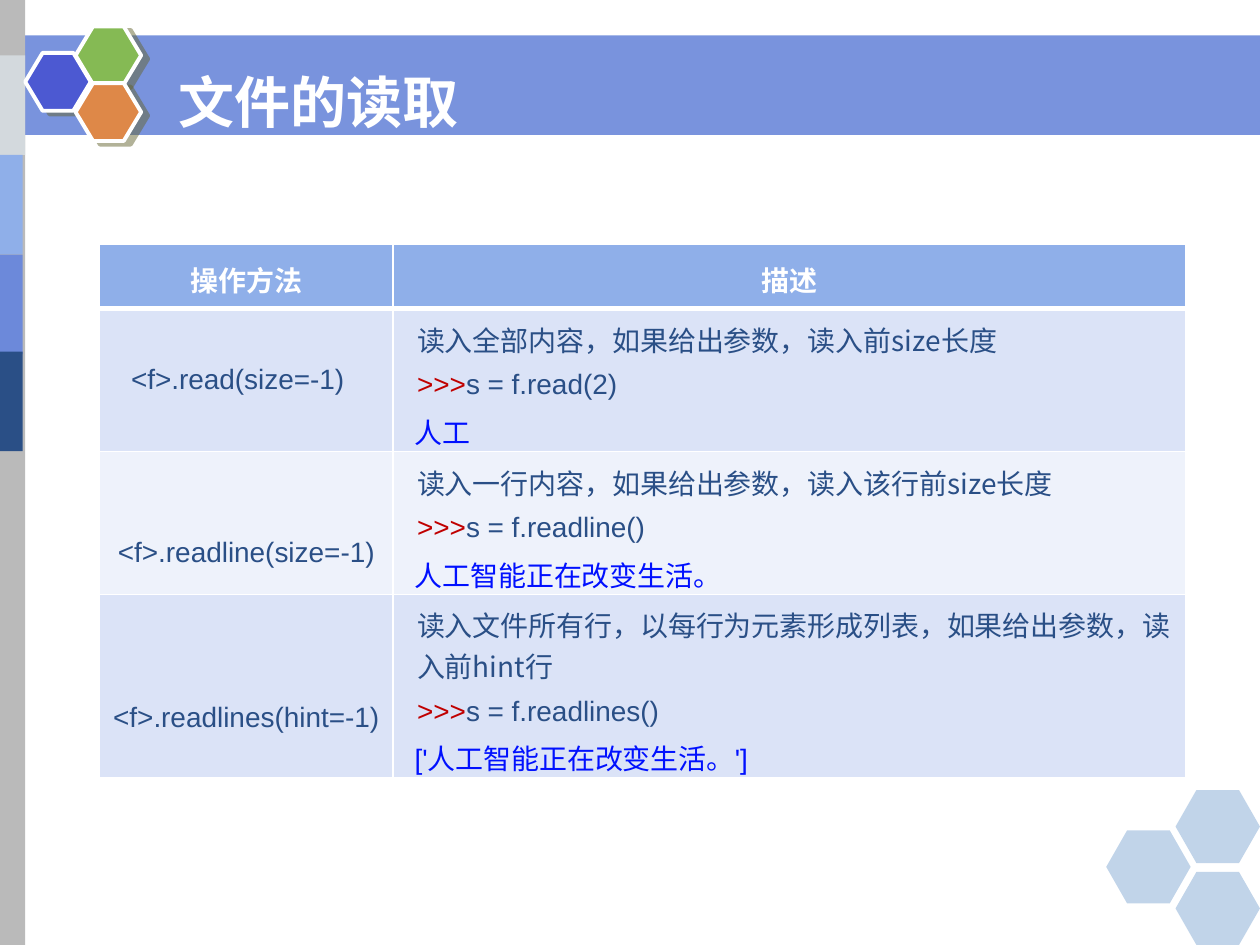
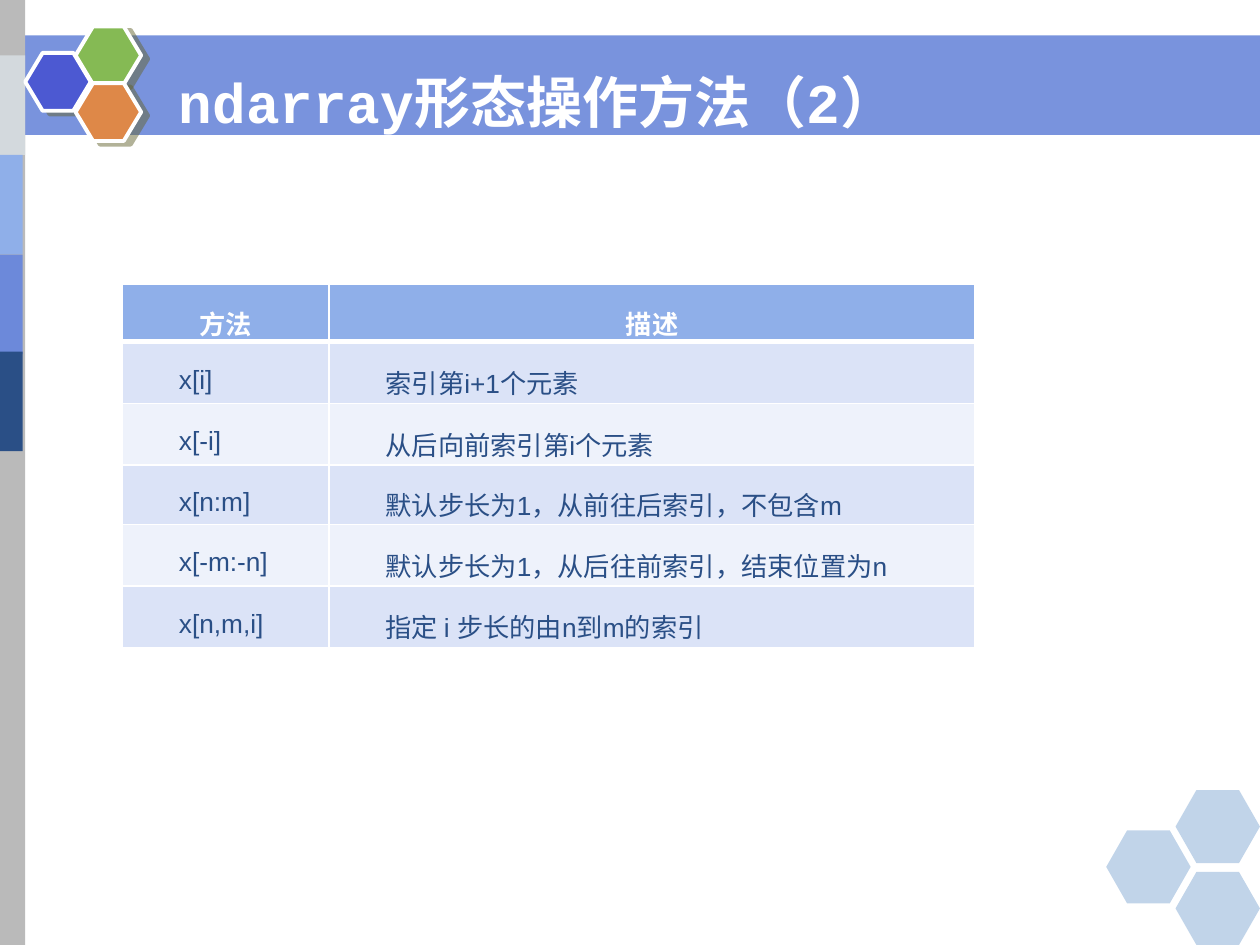
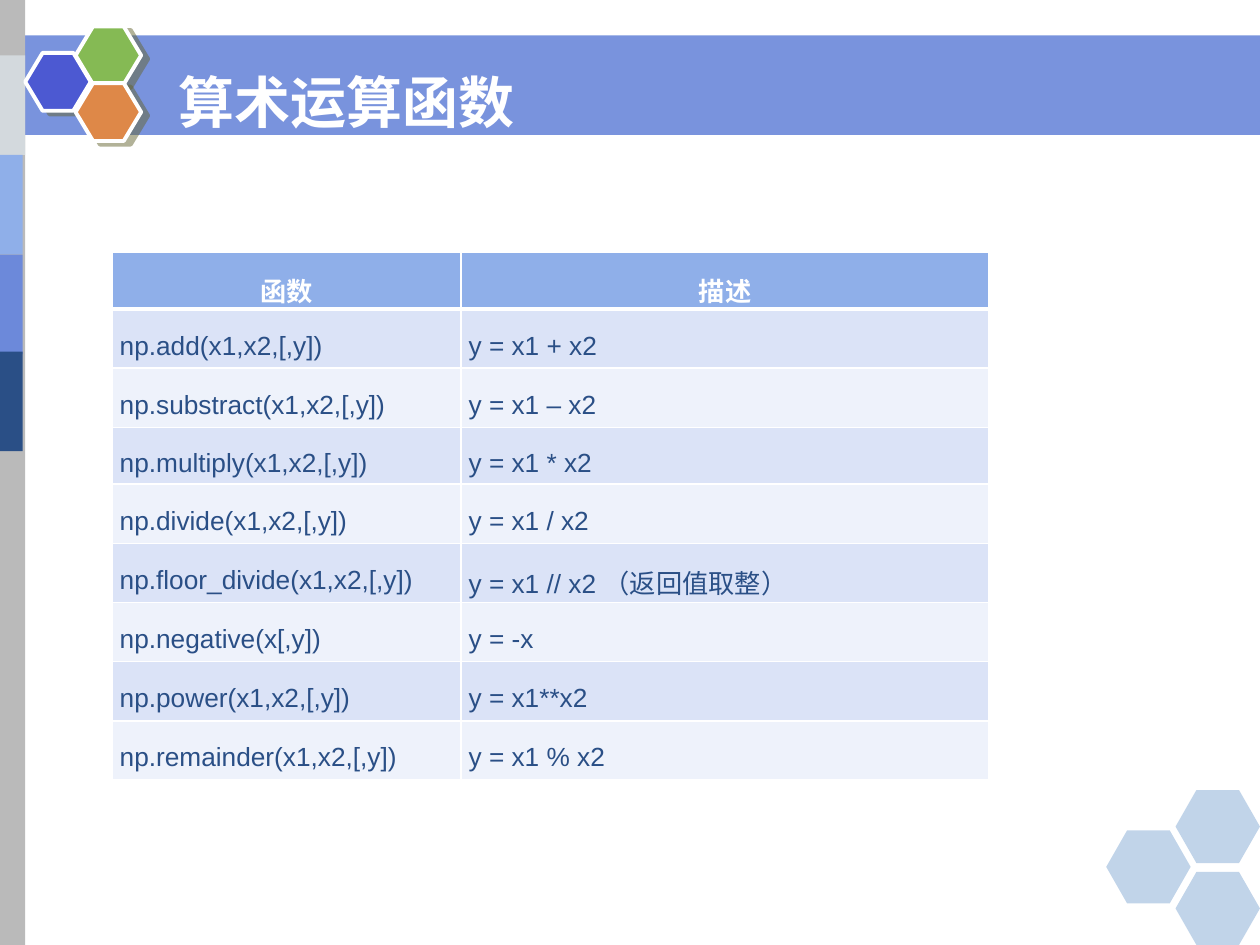
"""Three slides on reading files, ndarray indexing and arithmetic functions."""
from lxml import etree
from pptx import Presentation
from pptx import util as u
from pptx.dml.color import RGBColor
from pptx.enum import shapes, text
from pptx.oxml import ns

WHITE, NAVY, SKY, BLUE = "FFFFFF", "2A4F86", "8FAFE9", "6C89DA"
BANDS = "DBE3F7", "EEF2FB"
PROMPT, OUTPUT = "C00000", "0010FF"
SANS, CODE, CJK = "Arial", "Courier New", "Noto Sans CJK SC"
LEFT, CENTER, JUSTIFY = text.PP_ALIGN.LEFT, text.PP_ALIGN.CENTER, text.PP_ALIGN.JUSTIFY


def rgb(color):
    return RGBColor.from_string(color)


def child(parent, tag, **attributes):
    element = etree.SubElement(parent, ns.qn(tag))
    for key, value in attributes.items():
        element.set(key, str(value))
    return element


def write(paragraph, content, size=16, color=NAVY, font=SANS, bold=False,
          align=LEFT, indent=0, before=0, spacing=1.0):
    run = paragraph.add_run()
    run.text = content
    run.font.size, run.font.bold, run.font.name = u.Pt(size), bold, font
    run.font.color.rgb = rgb(color)
    child(run.font._element, "a:ea", typeface=CJK)
    paragraph.alignment = align
    paragraph.space_before, paragraph.line_spacing = u.Pt(before), spacing
    properties = paragraph._p.get_or_add_pPr()
    properties.set("marL", str(u.Inches(indent)))
    properties.set("indent", "0")


def set_margins(target, left, top, right, bottom):
    target.margin_left, target.margin_top = u.Inches(left), u.Inches(top)
    target.margin_right, target.margin_bottom = u.Inches(right), u.Inches(bottom)
    target.vertical_anchor = text.MSO_ANCHOR.MIDDLE


class Deck:
    """Hold the shared style and the current slide."""

    def __init__(self):
        self.prs = Presentation()
        self.prs.slide_width, self.prs.slide_height = u.Inches(10), u.Inches(7.5)
        self.layout = self.prs.slide_layouts[5]
        self.slide = None

    def new_slide(self, title):
        first = self.slide is None
        self.slide = self.prs.slides.add_slide(self.layout)
        if first:
            self.decorate_layout()
        self.title(title)

    def title(self, content):
        heading = self.slide.shapes.title
        heading.left, heading.top = u.Inches(1.31), u.Inches(0.45)
        heading.width, heading.height = u.Inches(8.06), u.Inches(0.7)
        frame = heading.text_frame
        frame.word_wrap, frame.auto_size = True, text.MSO_AUTO_SIZE.NONE
        set_margins(frame, 0.11, 0.06, 0.11, 0.06)
        write(frame.paragraphs[0], content, size=32, color=WHITE, font=CODE,
              bold=True, align=JUSTIFY)

    def shape(self, kind, left, top, width, height, color, alpha=100):
        item = self.slide.shapes.add_shape(
            kind, u.Inches(left), u.Inches(top), u.Inches(width), u.Inches(height))
        item.shadow.inherit = False
        item.fill.solid()
        item.fill.fore_color.rgb = rgb(color)
        item.line.fill.background()
        if alpha < 100:
            tint = item._element.spPr.find(".//" + ns.qn("a:srgbClr"))
            child(tint, "a:alpha", val=alpha * 1000)
        return item

    def band(self, *place, **look):
        return self.shape(shapes.MSO_SHAPE.RECTANGLE, *place, **look)

    def hexagon(self, *place, corner, **look):
        item = self.shape(shapes.MSO_SHAPE.HEXAGON, *place, **look)
        item.adjustments[0] = corner
        return item

    def emblem_cell(self, left, top, color):
        cell = self.hexagon(left, top, 0.52, 0.46, color=color, corner=0.3)
        cell.line.color.rgb = rgb(WHITE)
        cell.line.width = u.Pt(2.25)
        effects = cell._element.spPr.find(ns.qn("a:effectLst"))
        shadow = child(effects, "a:outerShdw", blurRad=0, dist=u.Pt(4.5),
                       dir=27 * 60000, algn="ctr", rotWithShape=0)
        child(child(shadow, "a:srgbClr", val="666633"), "a:alpha", val=50000)

    def decorate_layout(self):
        for placeholder in list(self.layout.placeholders)[1:]:
            placeholder.element.getparent().remove(placeholder.element)
        self.band(0, 0.28, 10, 0.79, color=BLUE, alpha=91)
        self.band(-0.01, 0, 0.21, 7.5, color="BABABA")
        for left, top, color in ((0, 0.44, "D3D9DD"), (-0.02, 1.23, SKY),
                                 (-0.02, 2.02, BLUE), (-0.02, 2.79, NAVY)):
            self.band(left, top, 0.2, 0.79, color=color)
        for left, top, color in ((0.2, 0.42, "4C59D2"), (0.6, 0.21, "85BA54"),
                                 (0.6, 0.66, "DE8848")):
            self.emblem_cell(left, top, color)
        for left, top in ((8.78, 6.59), (9.33, 6.27), (9.33, 6.92)):
            self.hexagon(left, top, 0.67, 0.58, color="5086C2", alpha=35, corner=0.286)
        tree = self.layout.shapes.element
        for decoration in list(self.slide.shapes)[1:]:
            tree.append(decoration.element)

    def borders(self, cell, bottom):
        properties = cell._tc.get_or_add_tcPr()
        for side, width in (("L", 1), ("R", 1), ("T", 1), ("B", bottom)):
            edge = child(properties, "a:ln" + side, w=u.Pt(width))
            child(child(edge, "a:solidFill"), "a:srgbClr", val=WHITE)

    def grid(self, left, top, widths, heights):
        table = self.slide.shapes.add_table(
            len(heights), len(widths), u.Inches(left), u.Inches(top),
            u.Inches(sum(widths)), u.Inches(sum(heights))).table
        table.horz_banding = False
        for column, width in zip(table.columns, widths):
            column.width = u.Inches(width)
        for number, (row, height) in enumerate(zip(table.rows, heights)):
            row.height = u.Inches(height)
            for cell in row.cells:
                self.borders(cell, bottom=1 if number else 3)
                cell.fill.solid()
                cell.fill.fore_color.rgb = rgb(BANDS[(number - 1) % 2] if number else SKY)
                set_margins(cell, 0.06, 0, 0.06, 0)
        return table

    def lookup_table(self, left, top, widths, heights, entries, indent=0):
        table = self.grid(left, top, widths, heights)
        for number, entry in enumerate(entries):
            look = (dict(align=JUSTIFY, indent=indent) if number
                    else dict(align=CENTER, color=WHITE, bold=True))
            for cell, content in zip(table.rows[number].cells, entry):
                write(cell.text_frame.paragraphs[0], content, size=15, spacing=1.5, **look)

    def method_table(self, left, top, widths, heights, headings, methods):
        table = self.grid(left, top, widths, heights)
        for cell, heading in zip(table.rows[0].cells, headings):
            set_margins(cell, 0, 0.05, 0, 0)
            write(cell.text_frame.paragraphs[0], heading, color=WHITE, font=CJK,
                  bold=True, align=CENTER, before=4.7)
        for number, (call, look, drop, summary, example, result) in enumerate(methods, 1):
            name, description = table.rows[number].cells
            set_margins(name, 0, drop, 0, 0)
            write(name.text_frame.paragraphs[0], call, **look)
            set_margins(description, 0, 0.08, 0, 0)
            frame = description.text_frame
            write(frame.paragraphs[0], summary, font=CJK, indent=0.19, before=6)
            command = frame.add_paragraph()
            write(command, ">>>", color=PROMPT, indent=0.19, before=6)
            write(command, example, indent=0.19, before=6)
            output = frame.add_paragraph()
            for part in result:
                write(output, part, color=OUTPUT, font=CJK if part[0] > "~" else SANS,
                      indent=0.17, before=6)


def main():
    deck = Deck()

    deck.new_slide("文件的读取")
    centered = dict(align=CENTER)
    deck.method_table(
        0.79, 1.94, [2.33, 6.29], [0.51, 1.07, 1.07, 1.29], ("操作方法", "描述"),
        [("<f>.read(size=-1)", dict(align=JUSTIFY, indent=0.25), 0,
          "读入全部内容，如果给出参数，读入前size长度", "s = f.read(2)", ["人工"]),
         ("<f>.readline(size=-1)", centered, 0.48,
          "读入一行内容，如果给出参数，读入该行前size长度", "s = f.readline()",
          ["人工智能正在改变生活。"]),
         ("<f>.readlines(hint=-1)", centered, 0.51,
          "读入文件所有行，以每行为元素形成列表，如果给出参数，读入前hint行",
          "s = f.readlines()", ["['", "人工智能正在改变生活。", "']"])])

    deck.new_slide("ndarray形态操作方法（2）")
    deck.lookup_table(
        0.97, 2.26, [1.64, 5.13], [0.45, 0.49, 0.49, 0.47, 0.49, 0.49],
        [("方法", "描述"),
         ("x[i]", "索引第i+1个元素"),
         ("x[-i]", "从后向前索引第i个元素"),
         ("x[n:m]", "默认步长为1，从前往后索引，不包含m"),
         ("x[-m:-n]", "默认步长为1，从后往前索引，结束位置为n"),
         ("x[n,m,i]", "指定 i 步长的由n到m的索引")], indent=0.39)

    deck.new_slide("算术运算函数")
    deck.lookup_table(
        0.89, 2, [2.77, 4.19], [0.43, 0.47, 0.47, 0.45] + [0.47] * 5,
        [("函数", "描述"),
         ("np.add(x1,x2,[,y])", "y = x1 + x2"),
         ("np.substract(x1,x2,[,y])", "y = x1 – x2"),
         ("np.multiply(x1,x2,[,y])", "y = x1 * x2"),
         ("np.divide(x1,x2,[,y])", "y = x1 / x2"),
         ("np.floor_divide(x1,x2,[,y])", "y = x1 // x2 （返回值取整）"),
         ("np.negative(x[,y])", "y = -x"),
         ("np.power(x1,x2,[,y])", "y = x1**x2"),
         ("np.remainder(x1,x2,[,y])", "y = x1 % x2")])

    deck.prs.save("out.pptx")


if __name__ == "__main__":
    main()
